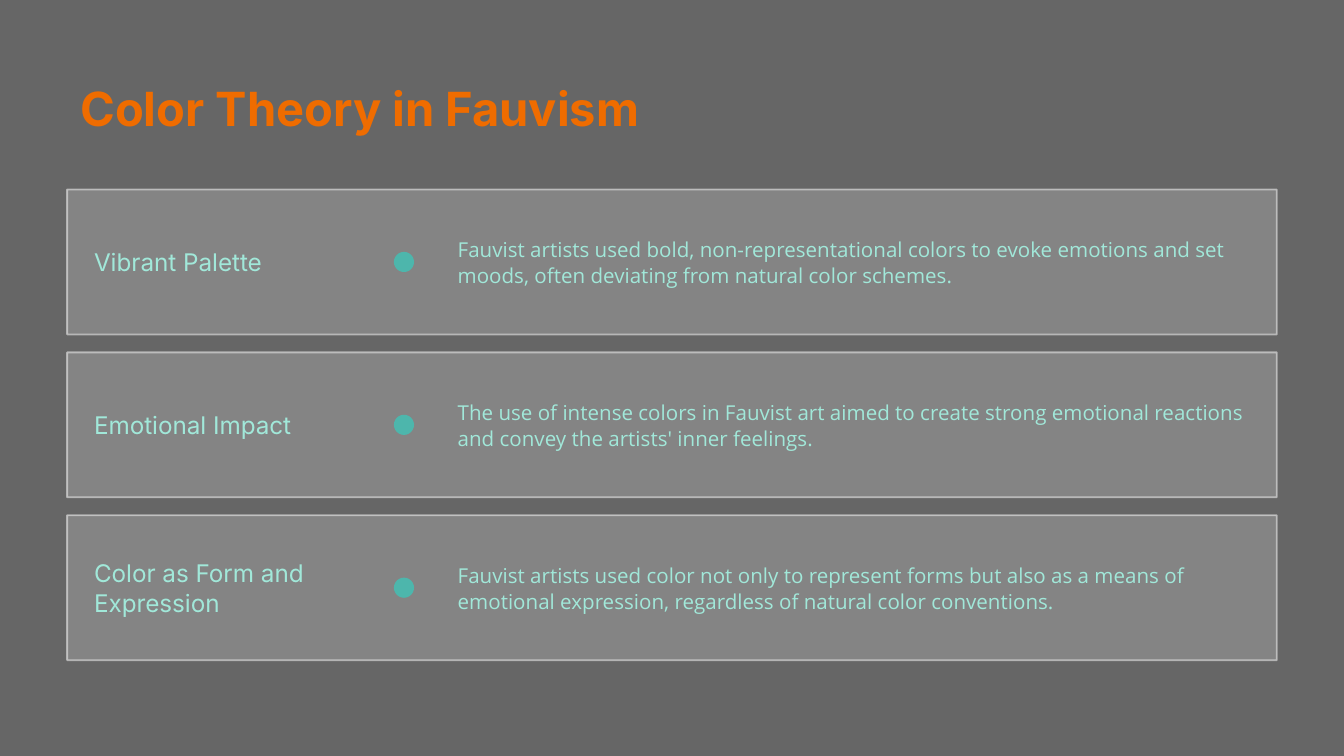
from dataclasses import dataclass

from lxml.etree import SubElement
from pptx import Presentation
from pptx.dml.color import RGBColor as RGB
from pptx.enum.shapes import MSO_SHAPE as Shape
from pptx.enum.text import MSO_ANCHOR as Anchor
from pptx.oxml.ns import qn
from pptx.util import Pt


@dataclass(frozen=True)
class Theme:
    background: RGB = RGB(0x66, 0x66, 0x66)
    card: RGB = RGB(0xFF, 0xFF, 0xFF)
    title: RGB = RGB(0xEF, 0x6C, 0x00)
    text: RGB = RGB(0xA1, 0xE8, 0xD9)
    dot: RGB = RGB(0x4D, 0xB6, 0xAC)
    heading_font: str = "Inter"
    body_font: str = "Open Sans"
    title_size: float = 25.2
    heading_size: float = 13
    body_size: float = 11


theme = Theme()


def set_opacity(fill, color, percent):
    fill.solid()
    fill.fore_color.rgb = color
    srgb = fill._xPr.find(f"{qn('a:solidFill')}/{qn('a:srgbClr')}")
    SubElement(srgb, qn("a:alpha"), val=str(percent * 1000))


def add_text(text, left, top, width, height, font, size, color, left_inset=7.2, right_inset=7.2):
    box = slide.shapes.add_textbox(Pt(left), Pt(top), Pt(width), Pt(height))
    frame = box.text_frame
    frame.word_wrap = True
    frame.vertical_anchor = Anchor.MIDDLE
    frame.margin_left, frame.margin_right = Pt(left_inset), Pt(right_inset)
    frame.margin_top = frame.margin_bottom = Pt(7.2)
    frame.text = text
    paragraph = frame.paragraphs[0]
    run_font = paragraph.runs[0].font
    run_font.name, run_font.size = font, Pt(size)
    run_font.color.rgb = color
    return paragraph


# Slide and background
deck = Presentation()
deck.slide_width, deck.slide_height = Pt(720), Pt(405)
slide = deck.slides.add_slide(deck.slide_layouts[6])
slide.background.fill.solid()
slide.background.fill.fore_color.rgb = theme.background

# Title
title = add_text("Color Theory in Fauvism", 36, 35.5, 648, 44.6,
                 theme.heading_font, theme.title_size, theme.title)
title.runs[0].font.bold = True

# One card per principle: heading, dot, explanation
principles = [
    ("Vibrant Palette",
     "Fauvist artists used bold, non-representational colors to evoke emotions "
     "and set moods, often deviating from natural color schemes."),
    ("Emotional Impact",
     "The use of intense colors in Fauvist art aimed to create strong emotional "
     "reactions and convey the artists' inner feelings."),
    ("Color as Form and Expression",
     "Fauvist artists used color not only to represent forms but also as a means "
     "of emotional expression, regardless of natural color conventions."),
]
card_left, card_width, card_height = 36, 648, 77.7
first_top, card_pitch = 101.5, 87.25
divider, dot_size = 216.4, 10.8

for index, (heading, explanation) in enumerate(principles):
    top = first_top + index * card_pitch

    card = slide.shapes.add_shape(Shape.RECTANGLE, Pt(card_left), Pt(top),
                                  Pt(card_width), Pt(card_height))
    card.shadow.inherit = False
    set_opacity(card.fill, theme.card, 20)
    card.line.width = Pt(1)
    set_opacity(card.line.fill, theme.card, 50)

    name = add_text(heading, card_left, top, 168.5, card_height,
                    theme.heading_font, theme.heading_size, theme.text, left_inset=14.4)
    name.space_after = Pt(10)

    body = add_text(explanation, divider, top, card_left + card_width - divider, card_height,
                    theme.body_font, theme.body_size, theme.text,
                    left_inset=28.8, right_inset=14.4)
    body.line_spacing = 1.05
    body.space_after = Pt(10)

    dot = slide.shapes.add_shape(Shape.OVAL, Pt(divider - dot_size / 2),
                                 Pt(top + (card_height - dot_size) / 2),
                                 Pt(dot_size), Pt(dot_size))
    dot.shadow.inherit = False
    dot.fill.solid()
    dot.fill.fore_color.rgb = theme.dot
    dot.line.fill.background()

deck.save("out.pptx")
